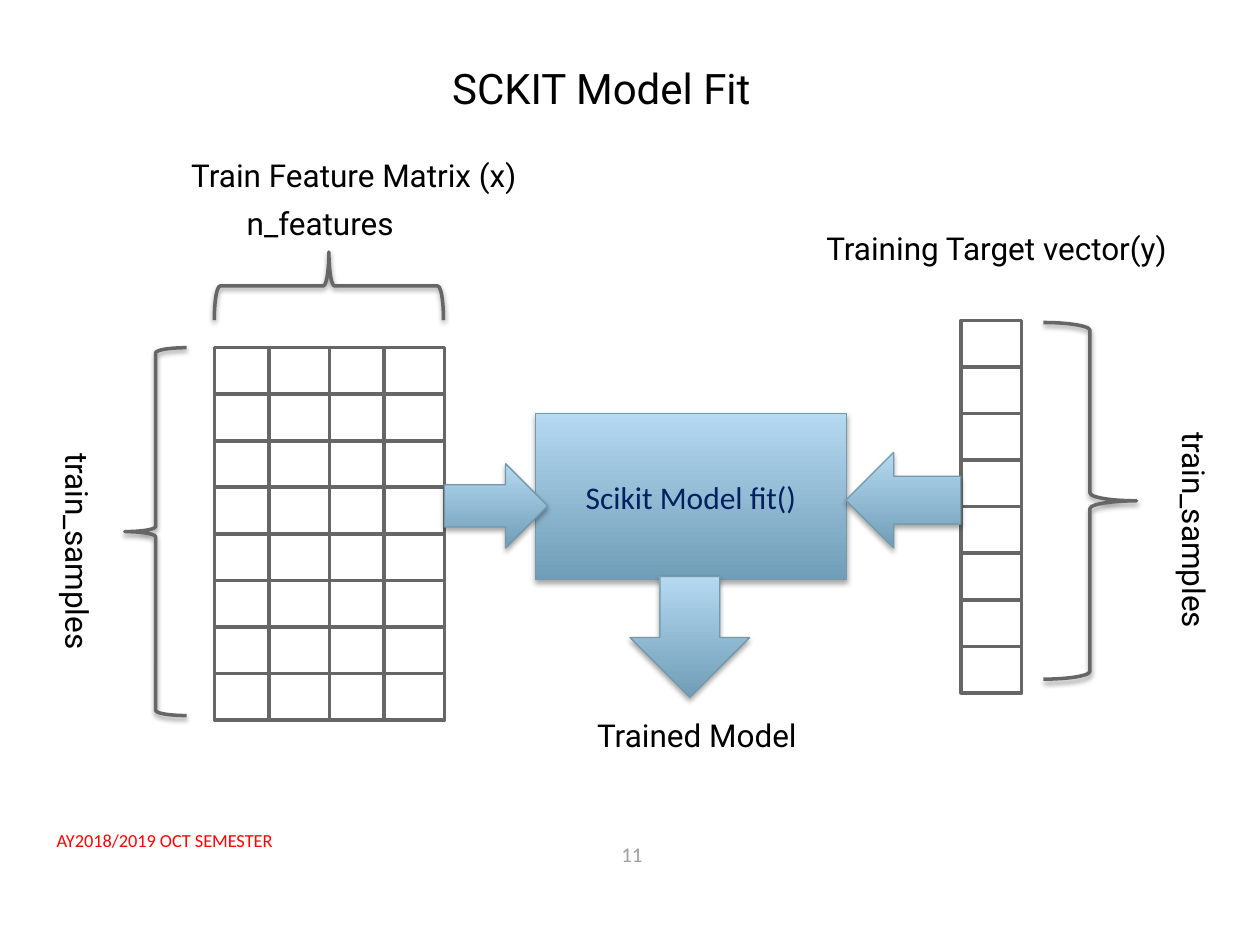
from lxml import etree
from pptx import Presentation
from pptx.dml.color import RGBColor
from pptx.enum.shapes import MSO_SHAPE as Shape
from pptx.enum.text import MSO_ANCHOR as Anchor, MSO_AUTO_SIZE as AutoSize, PP_ALIGN as Align
from pptx.oxml.ns import qn
from pptx.util import Pt

BLACK = RGBColor(0x00, 0x00, 0x00)
WHITE = RGBColor(0xFF, 0xFF, 0xFF)
RED = RGBColor(0xFF, 0x00, 0x00)
NAVY = RGBColor(0x00, 0x20, 0x60)
GRAY = RGBColor(0x66, 0x66, 0x66)
LIGHT_GRAY = RGBColor(0xA0, 0xA0, 0xA0)
BLUE_EDGE = RGBColor(0x74, 0x98, 0xAC)
BLUE_DARK = RGBColor(0x70, 0x9D, 0xB7)
BLUE_LIGHT = RGBColor(0xB5, 0xD9, 0xF1)

# Text, (left, top, width, height), font, size, colour, alignment
LABELS = [
    ("SCKIT Model Fit", (251.3, 32.4, 285, 36), "Roboto", 24, BLACK, Align.LEFT),
    ("Train Feature Matrix (x)", (102.2, 85.7, 202.3, 29), "Roboto", 18, BLACK, Align.LEFT),
    ("n_features", (133.9, 113, 108.7, 29), "Roboto", 18, BLACK, Align.LEFT),
    ("Training Target vector(y)", (465.1, 127.4, 221, 29), "Roboto", 18, BLACK, Align.LEFT),
    ("Trained Model", (334.1, 405.4, 130.3, 29), "Roboto", 18, BLACK, Align.LEFT),
    (" AY2018/2019 OCT SEMESTER", (23, 470.2, 412.6, 20), "Calibri", 10.5, RED, Align.LEFT),
    ("11", (277.2, 477.4, 167.8, 29), "Calibri", 12, LIGHT_GRAY, Align.CENTER),
]
VERTICAL_LABELS = [
    ("train_samples", (23, 252, 36, 132.5), "Roboto", 18, BLACK, Align.LEFT),
    ("train_samples", (661, 239.8, 36, 137.5), "Roboto", 18, BLACK, Align.LEFT),
]

# Left, top, column widths
GRIDS = [
    (122.6, 198.7, [31.2, 34.5, 31.2, 34.5]),
    (549.2, 183.2, [34.5]),
]
ROWS, ROW_HEIGHT = 8, 26.6

# Shape, box, rotation
BRACES = [
    (Shape.LEFT_BRACE, (71.3, 198.7, 35.3, 210.2), 0),
    (Shape.RIGHT_BRACE, (168.5, 97.9, 38.9, 131), 270),
    (Shape.RIGHT_BRACE, (596.2, 184.3, 53.3, 203.8), 0),
]

# Shape, box, text
BLOCKS = [
    (Shape.RECTANGLE, (306, 236.2, 177.8, 95), "Scikit Model fit()"),
    (Shape.RIGHT_ARROW, (254, 265, 59, 48.2), ""),
    (Shape.LEFT_ARROW, (483.4, 258.5, 65.6, 54.7), ""),
    (Shape.DOWN_ARROW, (360, 329.4, 68.4, 69.1), ""),
]

presentation = Presentation()
presentation.slide_width, presentation.slide_height = Pt(720), Pt(540)
slide = presentation.slides.add_slide(presentation.slide_layouts[6])


def write(paragraph, text, font_name, size, color, alignment):
    paragraph.alignment = alignment
    run = paragraph.add_run()
    run.text = text
    run.font.name, run.font.size = font_name, Pt(size)
    run.font.color.rgb = color


def add_label(text, box, font_name, size, color, alignment):
    label = slide.shapes.add_textbox(*map(Pt, box))
    frame = label.text_frame
    frame.word_wrap = True
    frame.auto_size = AutoSize.SHAPE_TO_FIT_TEXT
    write(frame.paragraphs[0], text, font_name, size, color, alignment)
    return frame


def add_outlined(kind, box, line_color, line_width):
    shape = slide.shapes.add_shape(kind, *map(Pt, box))
    shape.shadow.inherit = False
    shape.line.color.rgb = line_color
    shape.line.width = Pt(line_width)
    return shape


def add_shadow(shape, distance, opacity):
    effects = shape._element.spPr.find(qn("a:effectLst"))
    shadow = etree.SubElement(effects, qn("a:outerShdw"), blurRad=str(Pt(3.1)),
                              dist=str(Pt(distance)), dir="5400000", rotWithShape="0")
    color = etree.SubElement(shadow, qn("a:srgbClr"), val="000000")
    etree.SubElement(color, qn("a:alpha"), val=str(opacity * 1000))


# Labels
for label in LABELS:
    add_label(*label)
for label in VERTICAL_LABELS:
    add_label(*label)._txBody.bodyPr.set("vert", "eaVert")

# Feature matrix and target vector
for left, top, widths in GRIDS:
    for row in range(ROWS):
        for column, width in enumerate(widths):
            box = (left + sum(widths[:column]), top + row * ROW_HEIGHT, width, ROW_HEIGHT)
            cell = add_outlined(Shape.RECTANGLE, box, GRAY, 2)
            cell.fill.solid()
            cell.fill.fore_color.rgb = WHITE

# Braces
for kind, box, rotation in BRACES:
    brace = add_outlined(kind, box, GRAY, 2)
    brace.rotation = rotation
    brace.fill.background()
    add_shadow(brace, 1.6, 38)

# Model and flow arrows
for kind, box, text in BLOCKS:
    block = add_outlined(kind, box, BLUE_EDGE, 0.75)
    block.fill.gradient()
    block.fill.gradient_angle = 90
    for stop, position, color in zip(block.fill.gradient_stops, (0, 1), (BLUE_DARK, BLUE_LIGHT)):
        stop.position = position
        stop.color.rgb = color
    add_shadow(block, 1.8, 35)
    if text:
        block.text_frame.vertical_anchor = Anchor.MIDDLE
        write(block.text_frame.paragraphs[0], text, "Calibri", 18, NAVY, Align.CENTER)

presentation.save("out.pptx")
